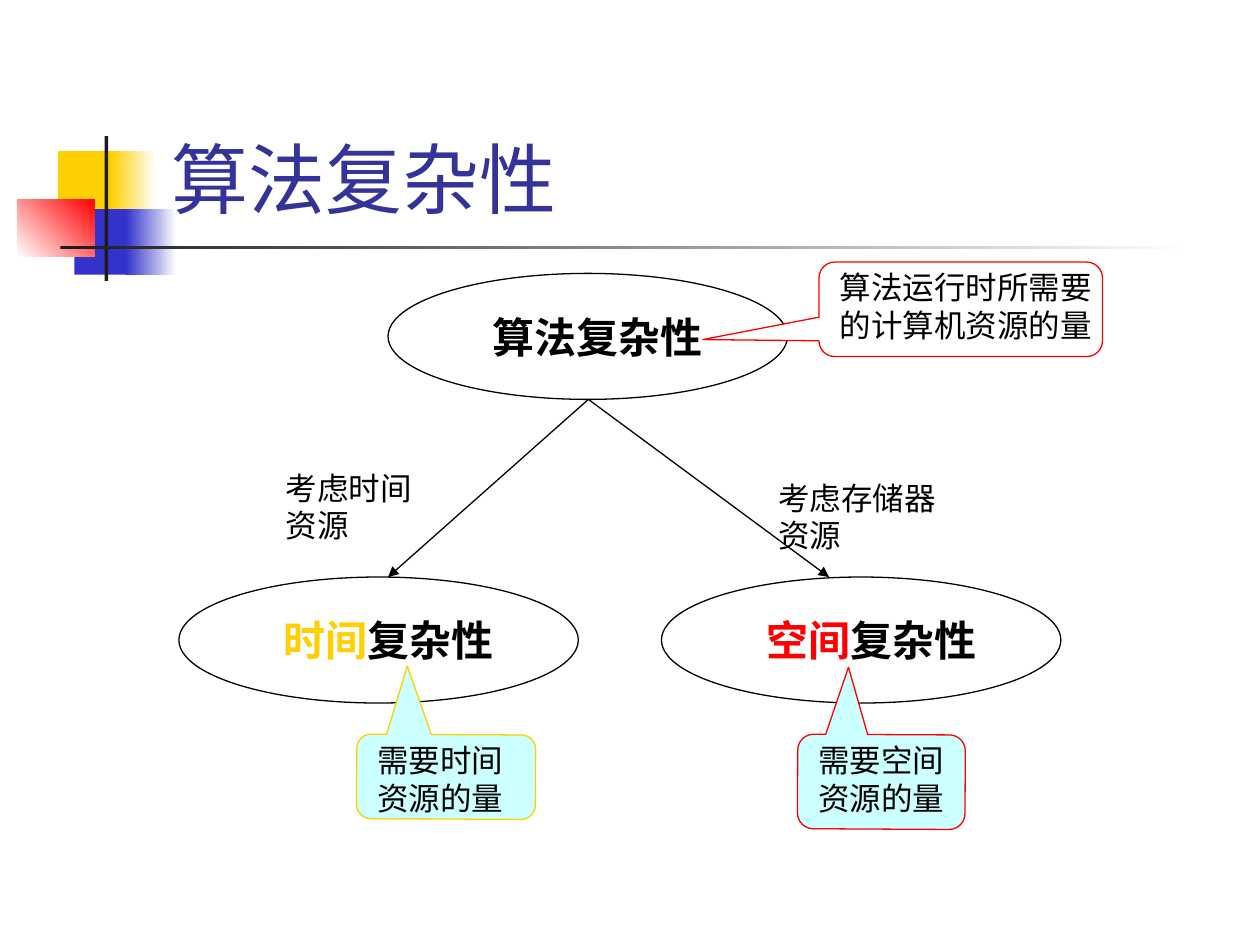
from lxml import etree
from pptx import Presentation
from pptx.dml.color import RGBColor
from pptx.enum.shapes import MSO_CONNECTOR, MSO_SHAPE
from pptx.enum.text import MSO_ANCHOR, PP_ALIGN
from pptx.oxml.ns import qn
from pptx.util import Inches, Pt

RECT, OVAL = MSO_SHAPE.RECTANGLE, MSO_SHAPE.OVAL
CALLOUT = MSO_SHAPE.ROUNDED_RECTANGULAR_CALLOUT
STRAIGHT = MSO_CONNECTOR.STRAIGHT
LEFT, CENTER = PP_ALIGN.LEFT, PP_ALIGN.CENTER
TOP, BOTTOM = MSO_ANCHOR.TOP, MSO_ANCHOR.BOTTOM

COLORS = {
    "yellow": "FFCF01", "blue": "3333CC", "red": "FF0000", "dark": "1C1C1C",
    "white": "FFFFFF", "black": "000000", "title": "333399", "cyan": "CCFFFF",
}

# box, colours (two make a gradient), gradient angle
DECORATION = [
    ((0.46, 1.2, 0.48, 0.52), ["yellow"], 0),
    ((0.88, 1.2, 0.36, 0.52), ["yellow", "white"], 0),
    ((0.59, 1.66, 0.46, 0.52), ["blue"], 0),
    ((1, 1.66, 0.4, 0.52), ["blue", "white"], 0),
    ((0.14, 1.58, 0.61, 0.46), ["white", "red"], 45),
    ((0.83, 1.08, 0.03, 1.15), ["dark"], 0),
    ((0.48, 1.95, 9, 0.03), ["dark", "white"], 0),
]
TITLE = "算法复杂性"

# left, top, coloured runs
NODE_W, NODE_H = 3.17, 1
NODES = [
    (3.08, 2.17, [("算法复杂性", "black")]),
    (1.42, 4.58, [("时间", "yellow"), ("复杂性", "black")]),
    (5.25, 4.58, [("空间", "red"), ("复杂性", "black")]),
]
ARROW_START = (4.67, 3.17)
ARROW_ENDS = [(3.08, 4.58), (6.58, 4.58)]
BRANCH_LABELS = [
    ((2.17, 3.67, 1.42, 0.7), "考虑时间资源"),
    ((6.08, 3.75, 1.67, 0.7), "考虑存储器资源"),
]
# box, text width, rotation, pointer tip, fill, line, text
CALLOUTS = [
    ((2.83, 5.83, 1.42, 0.67), 1.33, 180.3, (0.22, 1.31), "cyan", "yellow", "需要时间资源的量"),
    ((6.33, 5.83, 1.33, 0.75), 1.33, 180.3, (0.2, 1.21), "cyan", "red", "需要空间资源的量"),
    ((6.5, 2.08, 2.25, 0.75), 2.33, 0, (-0.91, 0.32), "white", "red",
     "算法运行时所需要的计算机资源的量"),
]


def rgb(name):
    return RGBColor.from_string(COLORS[name])


def add_shape(slide, kind, box, fills=(), line=None, angle=0):
    """Add a preset shape with no fill, a solid fill or a two-stop gradient."""
    sp = slide.shapes.add_shape(kind, *map(Inches, box))
    sp.shadow.inherit = False
    if len(fills) == 2:
        sp.fill.gradient()
        sp.fill.gradient_angle = angle
        for stop, name in zip(sp.fill.gradient_stops, fills):
            stop.color.rgb = rgb(name)
    elif fills:
        sp.fill.solid()
        sp.fill.fore_color.rgb = rgb(fills[0])
    else:
        sp.fill.background()
    if line:
        sp.line.color.rgb = rgb(line)
        sp.line.width = Pt(0.75)
    else:
        sp.line.fill.background()
    return sp


def add_text(slide, box, runs, size, align=LEFT, anchor=TOP, font="Arial", bold=False):
    tf = slide.shapes.add_textbox(*map(Inches, box)).text_frame
    tf.word_wrap = True
    tf.vertical_anchor = anchor
    p = tf.paragraphs[0]
    p.alignment = align
    for text, color in runs:
        r = p.add_run()
        r.text = text
        r.font.name, r.font.size, r.font.bold = font, Pt(size), bold
        r.font.color.rgb = rgb(color)


def add_arrow(slide, start, end):
    line = slide.shapes.add_connector(STRAIGHT, *map(Inches, start + end))
    line.line.color.rgb = rgb("black")
    line.line.width = Pt(0.75)
    etree.SubElement(line.line._get_or_add_ln(), qn("a:tailEnd"), type="triangle")
    etree.SubElement(line._element.spPr, qn("a:effectLst"))


def main():
    prs = Presentation()
    prs.slide_width, prs.slide_height = Inches(10), Inches(7.5)
    slide = prs.slides.add_slide(prs.slide_layouts[6])

    for box, fills, angle in DECORATION:
        add_shape(slide, RECT, box, fills, angle=angle)
    add_text(slide, (1.26, 0.23, 8.52, 1.6), [(TITLE, "title")], 44,
             anchor=BOTTOM, font="Cabin")

    for left, top, runs in NODES:
        add_shape(slide, OVAL, (left, top, NODE_W, NODE_H), line="black")
        add_text(slide, (left + 0.58, top + 0.25, 2.17, 0.5), runs, 24, CENTER, bold=True)
    for end in ARROW_ENDS:
        add_arrow(slide, ARROW_START, end)
    for box, text in BRANCH_LABELS:
        add_text(slide, box, [(text, "black")], 18)

    for box, text_width, rotation, tip, fill, line, text in CALLOUTS:
        sp = add_shape(slide, CALLOUT, box, [fill], line)
        sp.rotation = rotation
        sp.adjustments[0], sp.adjustments[1] = tip
        add_text(slide, (*box[:2], text_width, 0.7), [(text, "black")], 18, CENTER)

    prs.save("out.pptx")


if __name__ == "__main__":
    main()
